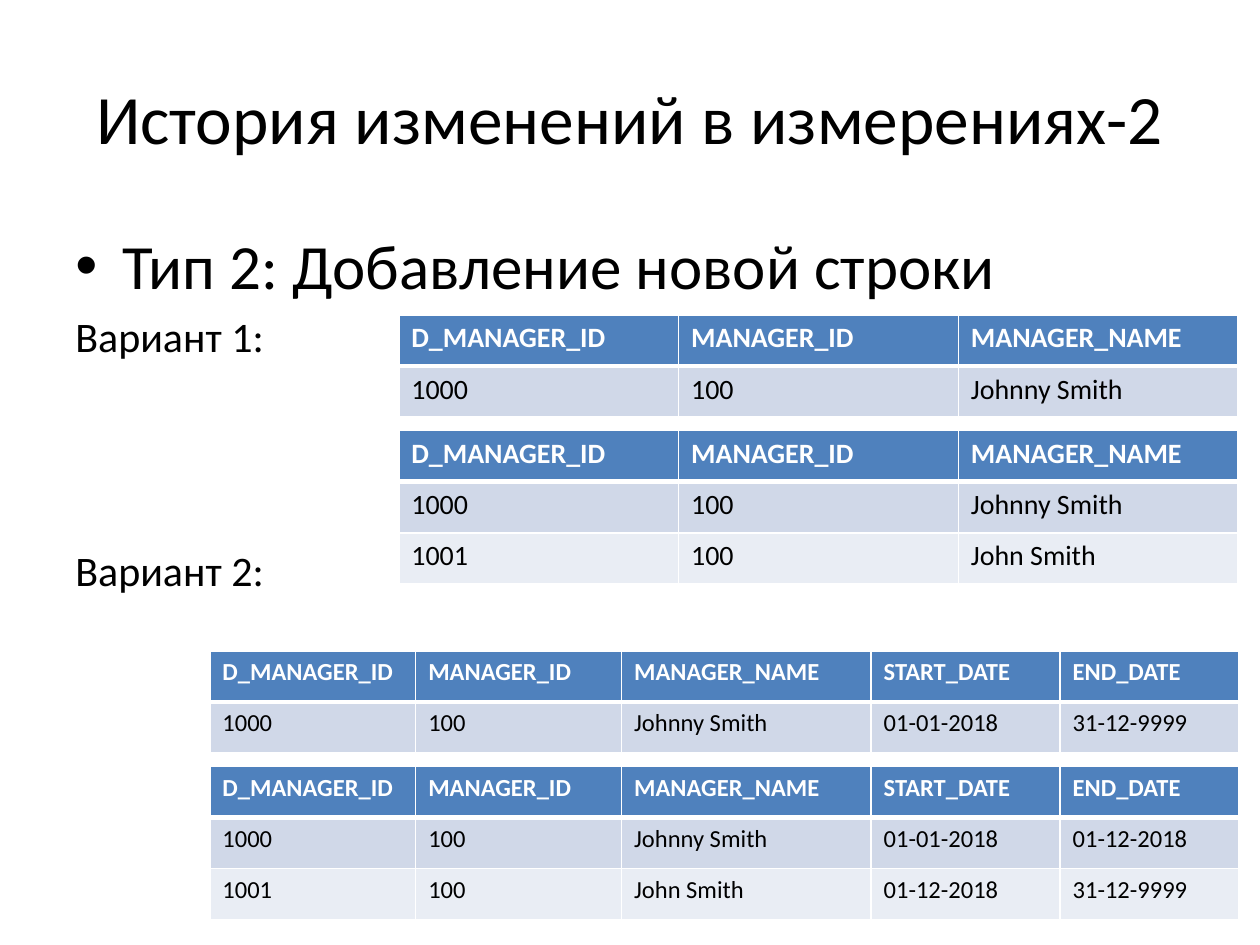
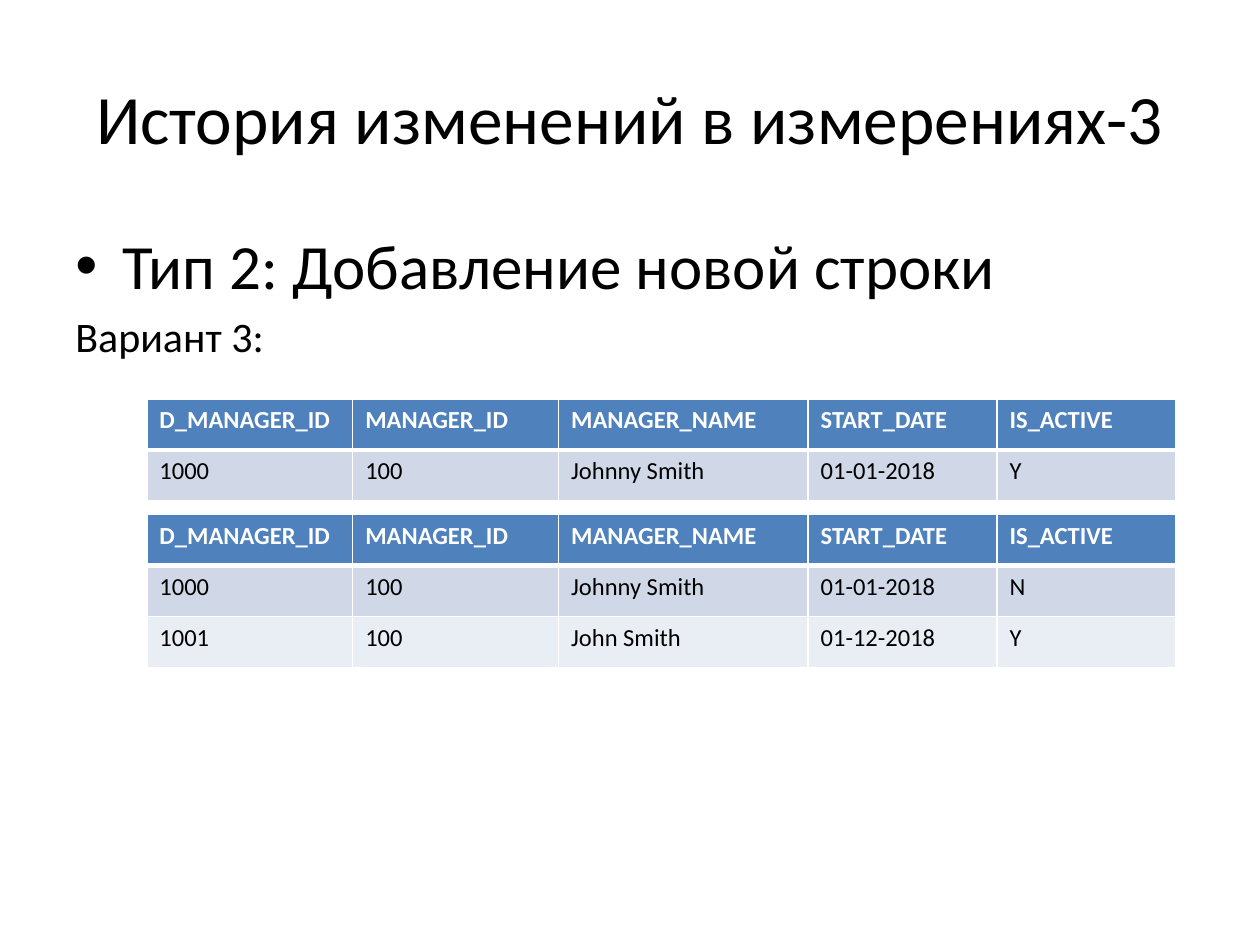
from dataclasses import dataclass

from lxml.etree import SubElement
from pptx import Presentation
from pptx.dml.color import RGBColor
from pptx.enum.text import MSO_ANCHOR, MSO_AUTO_SIZE, PP_ALIGN
from pptx.oxml.ns import qn
from pptx.util import Cm, Pt


@dataclass(frozen=True)
class Theme:
    """Fonts, type sizes in points and colours of the deck."""
    font: str = "Calibri"
    title: float = 39.6
    bullet: float = 36
    label: float = 24
    wide_cell: float = 16
    dense_cell: float = 14
    ink: str = "000000"
    paper: str = "FFFFFF"
    header: str = "4F81BD"
    bands: tuple = ("D0D8E8", "E9EDF4")
    rule: float = 1
    header_rule: float = 3


def write(p, text, font, size, color, bold=False, align=None, before=0):
    """Write one formatted run into a paragraph."""
    p.alignment = align
    p.space_before = Pt(before)
    r = p.add_run()
    r.text = text
    r.font.name = font
    r.font.size = Pt(size)
    r.font.bold = bold
    r.font.color.rgb = RGBColor.from_string(color)


def add_bullet(p, indent):
    """Give a paragraph a round bullet with a hanging indent."""
    pPr = p._p.get_or_add_pPr()
    pPr.set("marL", str(indent))
    pPr.set("indent", str(-indent))
    SubElement(pPr, qn("a:buFont"), typeface="Arial")
    SubElement(pPr, qn("a:buChar"), char="•")


def add_borders(cell, color, widths):
    """Draw the cell borders; widths maps L, R, T, B to points."""
    tcPr = cell._tc.get_or_add_tcPr()
    for side, width in widths.items():
        ln = SubElement(tcPr, qn(f"a:ln{side}"), w=str(Pt(width)))
        fill = SubElement(ln, qn("a:solidFill"))
        SubElement(fill, qn("a:srgbClr"), val=color)


class Deck:
    """Holds the style and the current slide."""

    ROW = 1.03
    PAIR_STEP = 2.33

    def __init__(self, theme):
        """Start an empty 4:3 presentation."""
        self.theme = theme
        self.prs = Presentation()
        self.prs.slide_width, self.prs.slide_height = Cm(25.4), Cm(19.05)
        self.s = None

    def slide(self, title):
        """Add a slide with a centred title."""
        self.s = self.prs.slides.add_slide(self.prs.slide_layouts[5])
        sp = self.s.shapes.title
        sp.left, sp.top, sp.width, sp.height = Cm(1.27), Cm(0.76), Cm(22.86), Cm(3.18)
        tf = sp.text_frame
        tf.vertical_anchor = MSO_ANCHOR.MIDDLE
        write(tf.paragraphs[0], title, self.theme.font, self.theme.title,
              self.theme.ink, align=PP_ALIGN.CENTER)

    def body(self, heading, labels):
        """Add a bulleted heading and labels given as (text, space before)."""
        t = self.theme
        sp = self.s.shapes.add_textbox(Cm(1.27), Cm(4.45), Cm(22.86), Cm(12.57))
        tf = sp.text_frame
        tf.word_wrap = True
        tf.auto_size = MSO_AUTO_SIZE.NONE
        p = tf.paragraphs[0]
        write(p, heading, t.font, t.bullet, t.ink)
        add_bullet(p, Cm(0.95))
        for text, before in labels:
            write(tf.add_paragraph(), text, t.font, t.label, t.ink, before=before)

    def table(self, left, top, columns, rows, size):
        """Add a banded table; columns maps header to width in cm."""
        t = self.theme
        grid = [list(columns), *rows]
        widths = list(columns.values())
        frame = self.s.shapes.add_table(len(grid), len(widths), Cm(left), Cm(top),
                                        Cm(sum(widths)), Cm(self.ROW * len(grid)))
        tbl = frame.table
        tbl.horz_banding = False
        for col, width in zip(tbl.columns, widths):
            col.width = Cm(width)
        for i, values in enumerate(grid):
            tbl.rows[i].height = Cm(self.ROW)
            is_header = i == 0
            fill = t.header if is_header else t.bands[(i - 1) % 2]
            borders = {"L": t.rule, "R": t.rule,
                       "T": t.header_rule if i == 1 else t.rule,
                       "B": t.header_rule if is_header else t.rule}
            for j, text in enumerate(values):
                cell = tbl.cell(i, j)
                add_borders(cell, t.paper, borders)
                cell.fill.solid()
                cell.fill.fore_color.rgb = RGBColor.from_string(fill)
                write(cell.text_frame.paragraphs[0], text, t.font, size,
                      t.paper if is_header else t.ink, bold=is_header)

    def before_after(self, left, top, columns, before, after, size):
        """Stack the table before a change above the table after it."""
        for i, rows in enumerate((before, after)):
            self.table(left, top + i * self.PAIR_STEP, columns, rows, size)


HEADING = "Тип 2: Добавление новой строки"
OLD = ["1000", "100", "Johnny Smith"]
NEW = ["1001", "100", "John Smith"]
STARTED, CHANGED, OPEN_END = "01-01-2018", "01-12-2018", "31-12-9999"
KEYS = {"D_MANAGER_ID": 5.64, "MANAGER_ID": 5.64, "MANAGER_NAME": 5.64}
DATED = {"D_MANAGER_ID": 4.15, "MANAGER_ID": 4.15, "MANAGER_NAME": 5.03,
         "START_DATE": 3.81}


def versions_slide(deck):
    """Variants 1 and 2: a new key, then a validity period."""
    deck.slide("История изменений в измерениях-2")
    deck.body(HEADING, [("Вариант 1:", 4.3), ("Вариант 2:", 105)])
    deck.before_after(8.04, 6.35, KEYS, [OLD], [OLD, NEW], deck.theme.wide_cell)
    deck.before_after(4.23, 13.12, DATED | {"END_DATE": 3.6},
                      [OLD + [STARTED, OPEN_END]],
                      [OLD + [STARTED, CHANGED], NEW + [CHANGED, OPEN_END]],
                      deck.theme.dense_cell)


def active_flag_slide(deck):
    """Variant 3: a flag marks the current row."""
    deck.slide("История изменений в измерениях-3")
    deck.body(HEADING, [("Вариант 3:", 4.3)])
    deck.before_after(2.96, 8.04, DATED | {"IS_ACTIVE": 3.6},
                      [OLD + [STARTED, "Y"]],
                      [OLD + [STARTED, "N"], NEW + [CHANGED, "Y"]],
                      deck.theme.dense_cell)


deck = Deck(Theme())
versions_slide(deck)
active_flag_slide(deck)
deck.prs.save("out.pptx")
